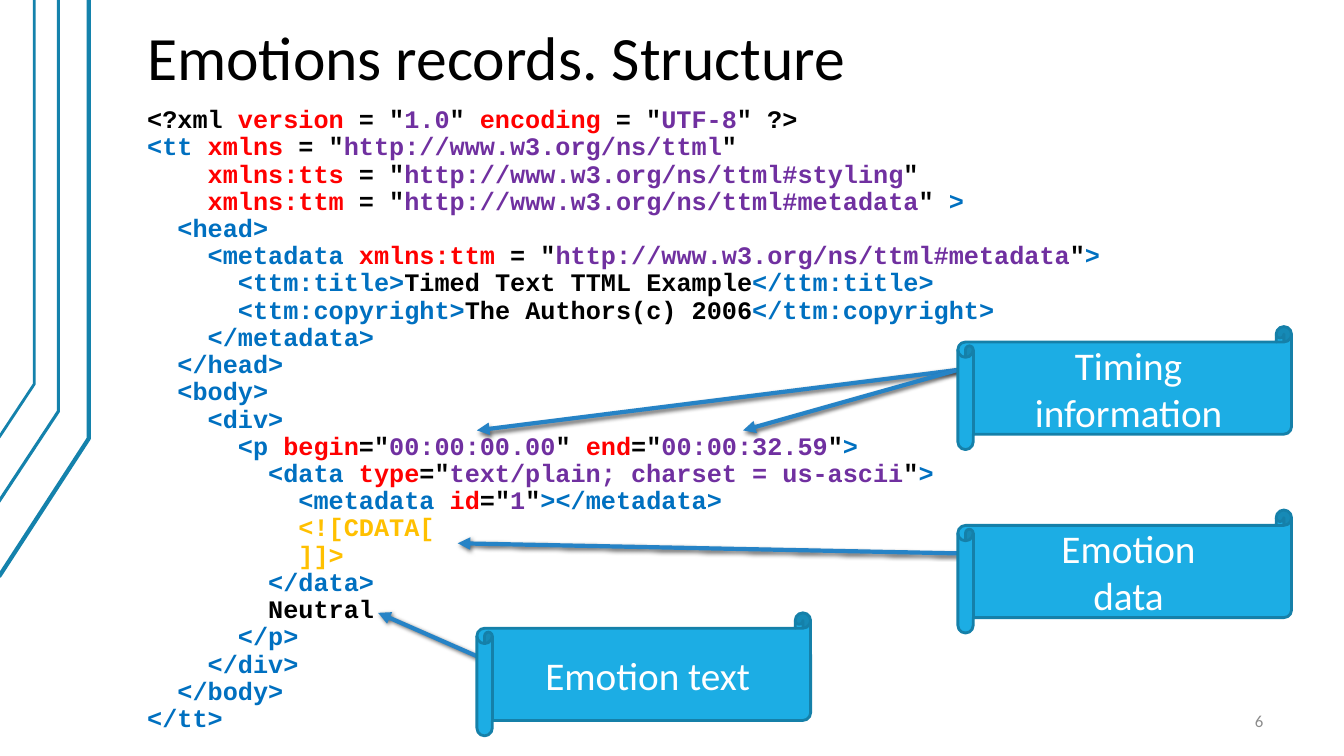
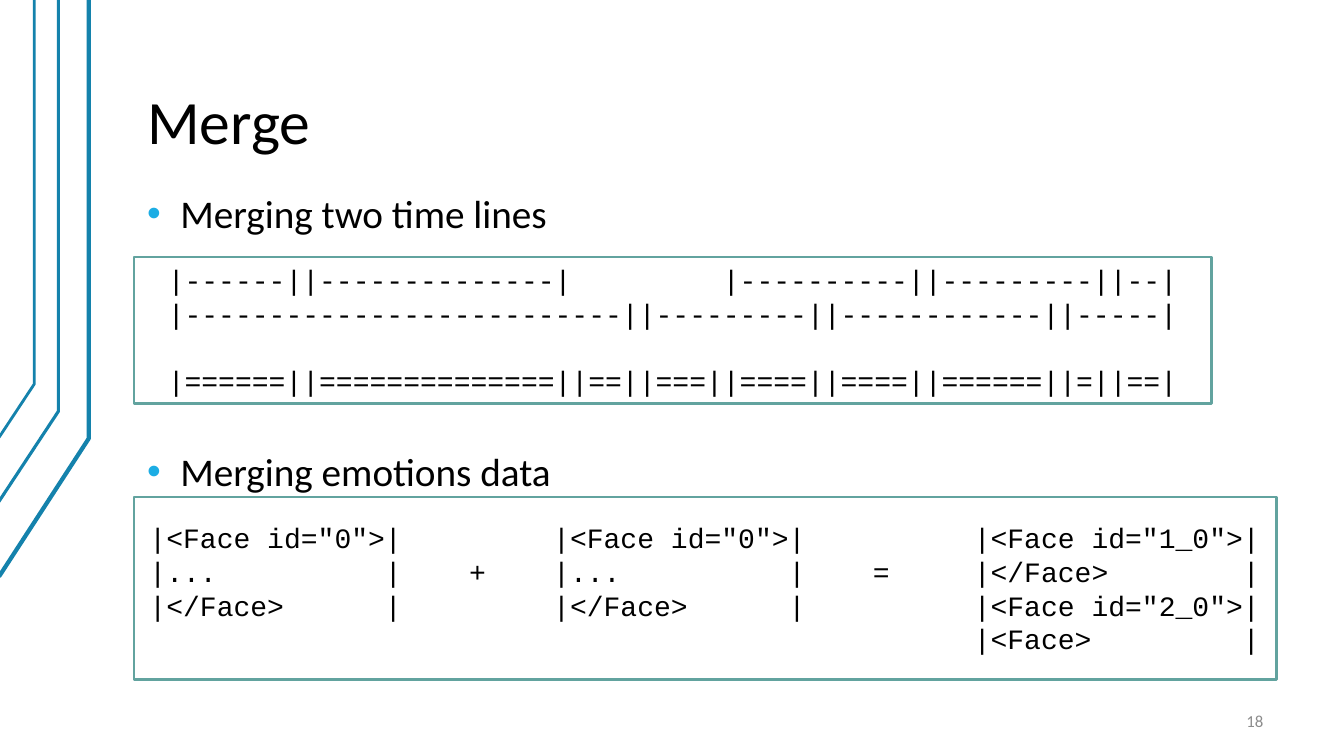
from dataclasses import dataclass

from pptx import Presentation
from pptx.dml.color import RGBColor
from pptx.enum.shapes import MSO_CONNECTOR as Connector, MSO_SHAPE as Preset
from pptx.enum.text import MSO_ANCHOR as Anchor, PP_ALIGN as Align
from pptx.oxml import parse_xml
from pptx.oxml.ns import nsdecls
from pptx.util import Inches, Pt

# Shared colours and fonts
BLACK = RGBColor(0x00, 0x00, 0x00)
WHITE = RGBColor(0xFF, 0xFF, 0xFF)
RED = RGBColor(0xFF, 0x00, 0x00)
PURPLE = RGBColor(0x70, 0x30, 0xA0)
BLUE = RGBColor(0x00, 0x70, 0xC0)
GOLD = RGBColor(0xFF, 0xC0, 0x00)
GREY = RGBColor(0x8C, 0x8C, 0x8C)
BAND = RGBColor(0x14, 0x82, 0xAC)
SCROLL_FILL = RGBColor(0x1C, 0xAD, 0xE4)
SCROLL_LINE = RGBColor(0x15, 0x80, 0xA9)
ARROW = RGBColor(0x26, 0x83, 0xC6)
FRAME = RGBColor(0x62, 0xA3, 0x9F)
SANS = "Calibri"
MONO = "Courier New"

# Shared layout, in inches
CONTENT_LEFT, CONTENT_WIDTH = 1.33, 11.33
TITLE_HEIGHT = 1.0
SCROLL_WIDTH, SCROLL_HEIGHT, ARROW_DROP = 3.31, 1.22, 0.43
CHARACTER_WIDTH = 0.15  # one monospaced character at 18 pt


@dataclass(frozen=True)
class Band:
    points: tuple[tuple[float, float], ...]
    weight: float


@dataclass(frozen=True)
class Token:
    text: str
    color: RGBColor = BLUE


@dataclass(frozen=True)
class CodeLine:
    indent: int  # in characters
    tokens: tuple[Token, ...]


@dataclass(frozen=True)
class Callout:
    text: str
    left: float
    top: float
    targets: tuple[tuple[float, float], ...]


@dataclass(frozen=True)
class Diagram:
    top: float
    width: float
    height: float
    text: str


BANDS = (
    Band(((-0.01, 5.72), (0.88, 4.35), (0.88, 0)), 3),
    Band(((-0.02, 4.99), (0.58, 4.08), (0.58, 0)), 2.25),
    Band(((-0.01, 4.34), (0.34, 3.81), (0.34, 0)), 2),
)


# Text helpers
def style_font(font, name: str, size: float, color: RGBColor, bold: bool = False) -> None:
    font.name, font.size, font.bold = name, Pt(size), bold
    font.color.rgb = color


def style_text(text_frame, name: str, size: float, color: RGBColor, align: Align) -> None:
    for paragraph in text_frame.paragraphs:
        paragraph.alignment = align
        for run in paragraph.runs:
            style_font(run.font, name, size, color)


def set_indent(paragraph, left: float, first: float = 0) -> None:
    properties = paragraph._p.get_or_add_pPr()
    properties.set("marL", str(Inches(left)))
    properties.set("indent", str(Inches(first)))


def add_bullet(paragraph) -> None:
    properties = paragraph._p.get_or_add_pPr()
    for xml in (
        f'<a:buClr {nsdecls("a")}><a:srgbClr val="{SCROLL_FILL}"/></a:buClr>',
        f'<a:buFont {nsdecls("a")} typeface="Arial"/>',
        f'<a:buChar {nsdecls("a")} char="•"/>',
    ):
        properties.append(parse_xml(xml))


def add_text_frame(slide, left: float, top: float, width: float, height: float, anchor=Anchor.TOP):
    box = slide.shapes.add_textbox(Inches(left), Inches(top), Inches(width), Inches(height))
    text_frame = box.text_frame
    text_frame.word_wrap = True
    text_frame.vertical_anchor = anchor
    text_frame.margin_left = text_frame.margin_right = Inches(0.13)
    text_frame.margin_top = text_frame.margin_bottom = Inches(0.07)
    return text_frame


# Parts shared by every slide
def add_base_slide(presentation, title: str, title_bottom: float, number: int):
    slide = presentation.slides.add_slide(presentation.slide_layouts[6])
    for band in BANDS:
        start, *rest = [(Inches(x), Inches(y)) for x, y in band.points]
        builder = slide.shapes.build_freeform(*start)
        builder.add_line_segments(rest, close=False)
        shape = builder.convert_to_shape()
        shape.shadow.inherit = False
        shape.fill.background()
        shape.line.color.rgb = BAND
        shape.line.width = Pt(band.weight)

    text_frame = add_text_frame(slide, CONTENT_LEFT, title_bottom - TITLE_HEIGHT,
                                CONTENT_WIDTH, TITLE_HEIGHT, Anchor.BOTTOM)
    text_frame.text = title
    text_frame.paragraphs[0].line_spacing = 0.9
    style_text(text_frame, SANS, 44, BLACK, Align.LEFT)

    text_frame = add_text_frame(slide, 11.55, 6.95, 1.11, 0.4, Anchor.MIDDLE)
    text_frame.text = str(number)
    style_text(text_frame, SANS, 12, GREY, Align.RIGHT)
    return slide


def add_filled_shape(slide, preset: Preset, left: float, top: float, width: float,
                     height: float, fill: RGBColor, line: RGBColor, text: str):
    shape = slide.shapes.add_shape(preset, Inches(left), Inches(top), Inches(width), Inches(height))
    shape.shadow.inherit = False
    shape.fill.solid()
    shape.fill.fore_color.rgb = fill
    shape.line.color.rgb = line
    shape.line.width = Pt(2)
    shape.text_frame.word_wrap = True
    shape.text_frame.vertical_anchor = Anchor.MIDDLE
    shape.text_frame.text = text
    return shape


# Code listing
def attribute(name: str, value: str, equals: str = "=") -> tuple[Token, ...]:
    return (Token(name, RED), Token(f'{equals}"', BLACK), Token(value, PURPLE), Token('"', BLACK))


def element(name: str, content: str) -> tuple[Token, ...]:
    return Token(f"<{name}>"), Token(content, BLACK), Token(f"</{name}>")


SPACED = " = "
NAMESPACE = "http://www.w3.org/ns/ttml"
SPACE = Token(" ", BLACK)
CODE = (
    CodeLine(0, (Token("<?xml ", BLACK), *attribute("version", "1.0", SPACED), SPACE,
                 *attribute("encoding", "UTF-8", SPACED), Token(" ?>", BLACK))),
    CodeLine(0, (Token("<tt "), *attribute("xmlns", NAMESPACE, SPACED))),
    CodeLine(4, attribute("xmlns:tts", f"{NAMESPACE}#styling", SPACED)),
    CodeLine(4, (*attribute("xmlns:ttm", f"{NAMESPACE}#metadata", SPACED), Token(" >"))),
    CodeLine(2, (Token("<head>"),)),
    CodeLine(4, (Token("<metadata "),
                 *attribute("xmlns:ttm", f"{NAMESPACE}#metadata", SPACED), Token(">"))),
    CodeLine(6, element("ttm:title", "Timed Text TTML Example")),
    CodeLine(6, element("ttm:copyright", "The Authors(c) 2006")),
    CodeLine(4, (Token("</metadata>"),)),
    CodeLine(2, (Token("</head>"),)),
    CodeLine(2, (Token("<body>"),)),
    CodeLine(4, (Token("<div>"),)),
    CodeLine(6, (Token("<p "), *attribute("begin", "00:00:00.00"), SPACE,
                 *attribute("end", "00:00:32.59"), Token(">"))),
    CodeLine(8, (Token("<data "), *attribute("type", "text/plain; charset = us-ascii"),
                 Token(">"))),
    CodeLine(10, (Token("<metadata "), *attribute("id", "1"), Token("></metadata>"))),
    CodeLine(10, (Token("<![CDATA[", GOLD),)),
    CodeLine(10, (Token("]]>", GOLD),)),
    CodeLine(8, (Token("</data>"),)),
    CodeLine(8, (Token("Neutral", BLACK),)),
    CodeLine(6, (Token("</p>"),)),
    CodeLine(4, (Token("</div>"),)),
    CodeLine(2, (Token("</body>"),)),
    CodeLine(0, (Token("</tt>"),)),
)
CALLOUTS = (
    Callout("Timing information", 9.5, 3.24, ((4.73, 4.27), (7.37, 4.27))),
    Callout("Emotion\ndata", 9.5, 5.06, ((4.54, 5.39),)),
    Callout("Emotion text", 4.73, 6.08, ((3.75, 6.08),)),
)


def add_code(slide, lines: tuple[CodeLine, ...]) -> None:
    text_frame = add_text_frame(slide, CONTENT_LEFT, 0.99, CONTENT_WIDTH, 6.36)
    for index, line in enumerate(lines):
        paragraph = text_frame.add_paragraph() if index else text_frame.paragraphs[0]
        paragraph.line_spacing = 0.9
        set_indent(paragraph, line.indent * CHARACTER_WIDTH)
        for token in line.tokens:
            run = paragraph.add_run()
            run.text = token.text
            style_font(run.font, MONO, 18, token.color, bold=True)


def add_arrow(slide, start: tuple[float, float], end: tuple[float, float]) -> None:
    arrow = slide.shapes.add_connector(
        Connector.STRAIGHT, *(Inches(value) for value in (*start, *end)))
    arrow.line.color.rgb = ARROW
    arrow.line.width = Pt(3)
    arrow.line._get_or_add_ln().append(parse_xml(f'<a:tailEnd {nsdecls("a")} type="triangle"/>'))
    arrow._element.spPr.append(parse_xml(
        f'<a:effectLst {nsdecls("a")}>'
        f'<a:outerShdw blurRad="{Pt(3)}" dist="{Pt(2)}" dir="{45 * 60000}">'
        '<a:srgbClr val="000000"><a:alpha val="60000"/></a:srgbClr>'
        '</a:outerShdw></a:effectLst>'))


def add_callout(slide, callout: Callout) -> None:
    for target in callout.targets:
        add_arrow(slide, (callout.left, callout.top + ARROW_DROP), target)
    shape = add_filled_shape(slide, Preset.HORIZONTAL_SCROLL, callout.left, callout.top,
                             SCROLL_WIDTH, SCROLL_HEIGHT, SCROLL_FILL, SCROLL_LINE, callout.text)
    style_text(shape.text_frame, SANS, 28, WHITE, Align.CENTER)


def build_structure_slide(presentation) -> None:
    slide = add_base_slide(presentation, "Emotions records. Structure", 1.0, 6)
    add_code(slide, CODE)
    for callout in CALLOUTS:
        add_callout(slide, callout)


# Merge diagrams
TIME_LINES = Diagram(2.55, 10.69, 1.45, """\
|------||--------------|         |----------||---------||--|
|--------------------------||---------||------------||-----|
|======||==============||==||===||====||====||======||=||==|""")
FACES = Diagram(4.93, CONTENT_WIDTH, 1.81, """\
|<Face id="0">|         |<Face id="0">|          |<Face id="1_0">|
|...          |    +    |...          |    =     |</Face>        |
|</Face>      |         |</Face>      |          |<Face id="2_0">|
                                                 |<Face>         |""")


def add_diagram(slide, diagram: Diagram):
    shape = add_filled_shape(slide, Preset.RECTANGLE, CONTENT_LEFT, diagram.top, diagram.width,
                             diagram.height, WHITE, FRAME, diagram.text)
    style_text(shape.text_frame, MONO, 20, BLACK, Align.CENTER)
    return shape


def build_merge_slide(presentation) -> None:
    slide = add_base_slide(presentation, "Merge", 1.64, 18)
    text_frame = add_text_frame(slide, CONTENT_LEFT, 1.86, CONTENT_WIDTH, 4.88)
    text_frame.text = "Merging two time lines\nMerging emotions data"
    style_text(text_frame, SANS, 28, BLACK, Align.LEFT)
    for paragraph in text_frame.paragraphs:
        paragraph.line_spacing = 0.9
        set_indent(paragraph, 0.33, -0.33)
    text_frame.paragraphs[1].space_before = Pt(154)  # room for the time lines
    for paragraph in text_frame.paragraphs:
        add_bullet(paragraph)

    time_lines = add_diagram(slide, TIME_LINES)
    time_lines.text_frame.paragraphs[-1].space_before = Pt(24)  # sets the result apart
    add_diagram(slide, FACES)


def main() -> None:
    presentation = Presentation()
    presentation.slide_width, presentation.slide_height = Inches(13.33), Inches(7.5)
    build_structure_slide(presentation)
    build_merge_slide(presentation)
    presentation.save("out.pptx")


if __name__ == "__main__":
    main()
